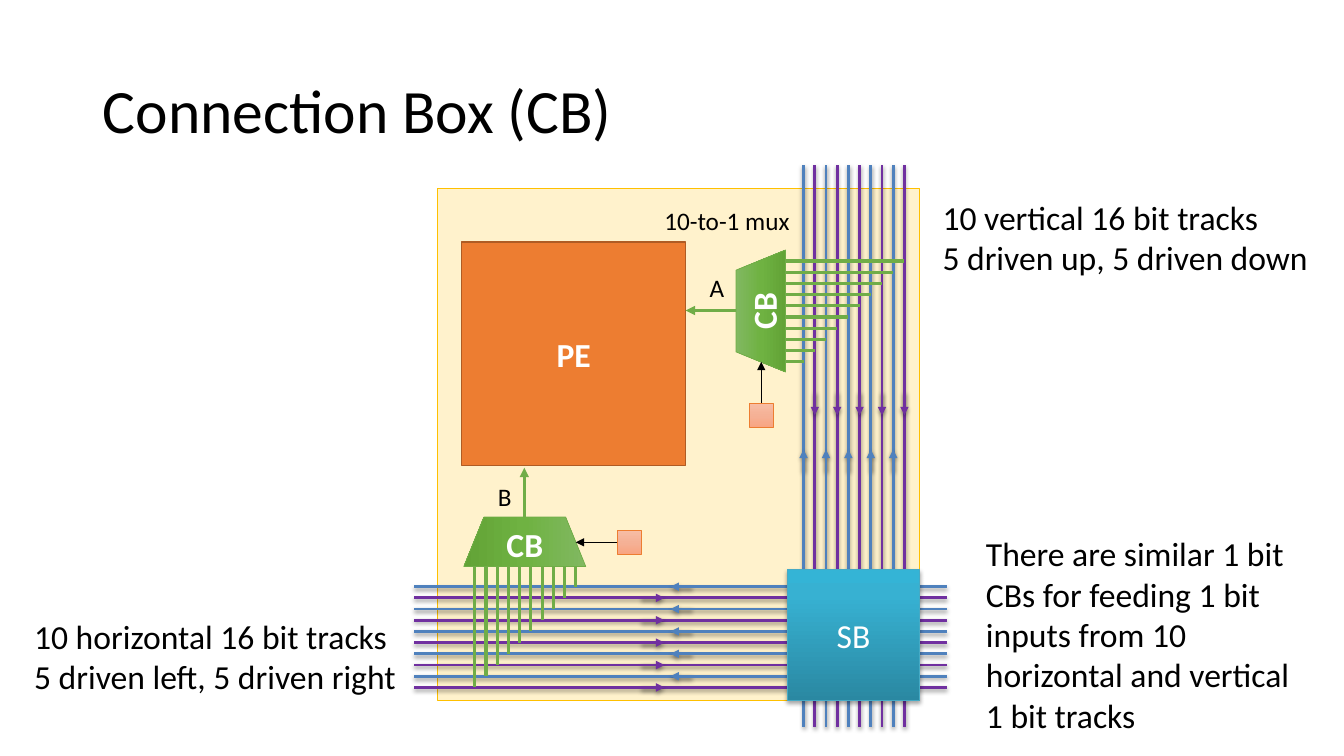
from lxml.etree import SubElement
from pptx import Presentation
from pptx.dml.color import RGBColor
from pptx.enum.shapes import MSO_CONNECTOR, MSO_SHAPE
from pptx.enum.text import MSO_ANCHOR, PP_ALIGN
from pptx.oxml import parse_xml
from pptx.oxml.ns import nsdecls, qn
from pptx.util import Inches, Pt

COLORS = {
    "text": "000000", "white": "FFFFFF",
    "tile": "FFF2CC", "tile_edge": "FFC000",
    "pe": "ED7D31", "pe_edge": "AF5C24",
    "mux": "70AD47", "sb_edge": "46AAC5",
    "forward": "4F81BD", "backward": "7030A0",
}
MUX_GRADIENT = [(0, "81B861"), (50, "6FB242"), (100, "62A336")]
CONFIG_GRADIENT = [(0, "F7BDA5"), (50, "F5B196"), (100, "F8A582")]
SB_GRADIENT = [(0, "2A88A2"), (80, "37B1D2"), (100, "34B4D6")]

TRACK_COUNT = 10
PITCH = 1 / 9


def rgb(name):
    return RGBColor.from_string(COLORS[name])


def format_text(paragraph, size, color="text", bold=False, align=PP_ALIGN.LEFT):
    paragraph.alignment = align
    paragraph.font.name = "Calibri"
    paragraph.font.size = Pt(size)
    paragraph.font.bold = bold
    paragraph.font.color.rgb = rgb(color)


def set_effect(properties, opacity=None, distance=1.6):
    """Replace theme effects by a downward shadow, or by nothing."""
    effects = SubElement(properties, qn("a:effectLst"))
    if opacity:
        shadow = SubElement(effects, qn("a:outerShdw"), blurRad=str(Pt(3.1)),
                            dist=str(Pt(distance)), dir="5400000", rotWithShape="0")
        black = SubElement(shadow, qn("a:srgbClr"), val=COLORS["text"])
        SubElement(black, qn("a:alpha"), val=str(opacity * 1000))


def set_gradient(shape, stops, angle):
    shape.fill.gradient()
    stop_xml = "".join(f'<a:gs pos="{position * 1000}"><a:srgbClr val="{color}"/></a:gs>'
                       for position, color in stops)
    gradient = parse_xml(f'<a:gradFill {nsdecls("a")} rotWithShape="1"><a:gsLst>{stop_xml}'
                         f'</a:gsLst><a:lin ang="{angle * 60000}" scaled="0"/></a:gradFill>')
    properties = shape.element.spPr
    properties.replace(properties.find(qn("a:gradFill")), gradient)


def add_block(slide, box, edge, width, fill=None, gradient=None, angle=90,
              label="", bold=True, kind=MSO_SHAPE.RECTANGLE, shadow=None):
    block = slide.shapes.add_shape(kind, *map(Inches, box))
    if gradient:
        set_gradient(block, gradient, angle)
    else:
        block.fill.solid()
        block.fill.fore_color.rgb = rgb(fill)
    block.line.color.rgb = rgb(edge)
    block.line.width = Pt(width)
    set_effect(block.element.spPr, shadow, 1.8)
    if label:
        block.text_frame.text = label
        block.text_frame.vertical_anchor = MSO_ANCHOR.MIDDLE
        format_text(block.text_frame.paragraphs[0], 24, "white", bold, PP_ALIGN.CENTER)
    return block


def add_mux(slide, box, angle, rotation=0):
    mux = add_block(slide, box, "mux", 0.5, gradient=MUX_GRADIENT, angle=angle,
                    label="CB", kind=MSO_SHAPE.TRAPEZOID)
    mux.adjustments[0] = 0.407
    mux.rotation = rotation


def add_config(slide, left, top):
    add_block(slide, (left, top, 0.24, 0.24), "pe", 0.5, gradient=CONFIG_GRADIENT)


def add_wire(slide, start, end, color, width, arrow=False, shadow=None):
    wire = slide.shapes.add_connector(MSO_CONNECTOR.STRAIGHT,
                                      *map(Inches, (*start, *end)))
    wire.line.color.rgb = rgb(color)
    wire.line.width = Pt(width)
    if arrow:
        SubElement(wire.line._get_or_add_ln(), qn("a:tailEnd"), type="triangle")
    set_effect(wire.element.spPr, shadow)


def add_text(slide, box, lines, size, wrap=False, align=PP_ALIGN.LEFT):
    frame = slide.shapes.add_textbox(*map(Inches, box)).text_frame
    frame.word_wrap = wrap
    frame.text = "\n".join(lines)
    for paragraph in frame.paragraphs:
        format_text(paragraph, size, align=align)


def point(along, across, vertical):
    return (across, along) if vertical else (along, across)


def add_tracks(slide, first, forward, backward, vertical):
    """Alternate tracks of both directions; each has a driving and a driven part."""
    for offset, color, parts in ((0, "forward", forward), (1, "backward", backward)):
        for (start, end), arrow in zip(parts, (False, True)):
            for track in range(offset, TRACK_COUNT, 2):
                across = first + track * PITCH
                add_wire(slide, point(start, across, vertical),
                         point(end, across, vertical), color, 2, arrow, shadow=38)


def add_taps(slide, mux_edge, last_input, first_track, vertical):
    """Join every mux input to its own track."""
    for track in range(TRACK_COUNT):
        across = last_input - track * PITCH
        add_wire(slide, point(mux_edge, across, vertical),
                 point(first_track + track * PITCH, across, vertical), "mux", 2.25)


def add_title(slide, text):
    title = slide.shapes.title
    title.left, title.top, title.width, title.height = map(Inches, (0.92, 0.4, 11.5, 1.45))
    title.text_frame.text = text
    title.text_frame.vertical_anchor = MSO_ANCHOR.MIDDLE
    heading = title.text_frame.paragraphs[0]
    heading.line_spacing = 0.9
    format_text(heading, 44)


def main():
    deck = Presentation()
    deck.slide_width, deck.slide_height = Inches(13.33), Inches(7.5)
    slide = deck.slides.add_slide(deck.slide_layouts[5])
    add_title(slide, "Connection Box (CB)")

    # Tile with its processing element
    add_block(slide, (4.34, 1.87, 4.78, 5.08), "tile_edge", 1, fill="tile")
    add_block(slide, (4.58, 2.4, 2.22, 2.22), "pe_edge", 1, fill="pe", label="PE")

    # Connection box for input A
    add_mux(slide, (6.94, 2.84, 1.21, 0.49), angle=90, rotation=270)
    add_wire(slide, (7.3, 3.08), (6.8, 3.08), "mux", 2.25, arrow=True)
    add_config(slide, 7.43, 4)
    add_wire(slide, (7.55, 4), (7.55, 3.59), "text", 0.5, arrow=True)

    # Labels and remarks
    add_text(slide, (9.25, 1.9, 3.86, 0.91),
             ["10 vertical 16 bit tracks", "5 driven up, 5 driven down"], 24)
    add_text(slide, (0.24, 6.06, 3.83, 0.91),
             ["10 horizontal 16 bit tracks", "5 driven left, 5 driven right"], 24)
    add_text(slide, (6.3, 1.99, 1.82, 0.4), ["10-to-1 mux"], 18, True, PP_ALIGN.CENTER)
    add_text(slide, (6.94, 2.65, 0.35, 0.4), ["A"], 18)
    add_text(slide, (4.84, 4.73, 0.35, 0.4), ["B"], 18)
    add_text(slide, (9.68, 5.24, 3.38, 2.12),
             ["There are similar 1 bit CBs for feeding 1 bit inputs from 10 "
              "horizontal and vertical 1 bit tracks"], 24, wrap=True)

    # Routing tracks and their taps
    add_tracks(slide, 7.97, [(1.64, 4.67), (7.21, 4.46)],
               [(7.21, 3.89), (1.64, 4.12)], vertical=True)
    add_taps(slide, 7.79, 3.59, 7.97, vertical=False)
    add_tracks(slide, 5.82, [(4.11, 6.86), (9.39, 6.65)],
               [(9.39, 6.36), (4.11, 6.59)], vertical=False)
    add_taps(slide, 5.63, 5.71, 5.82, vertical=True)

    # Connection box for input B
    add_mux(slide, (4.6, 5.13, 1.21, 0.49), angle=180)
    add_wire(slide, (5.2, 5.13), (5.2, 4.64), "mux", 2.25, arrow=True)
    add_config(slide, 6.12, 5.26)
    add_wire(slide, (6.12, 5.38), (5.71, 5.38), "text", 0.5, arrow=True)

    # Switch box
    add_block(slide, (7.81, 5.65, 1.31, 1.3), "sb_edge", 0.75, gradient=SB_GRADIENT,
              angle=270, label="SB", bold=False, shadow=35)

    deck.save("out.pptx")


if __name__ == "__main__":
    main()
